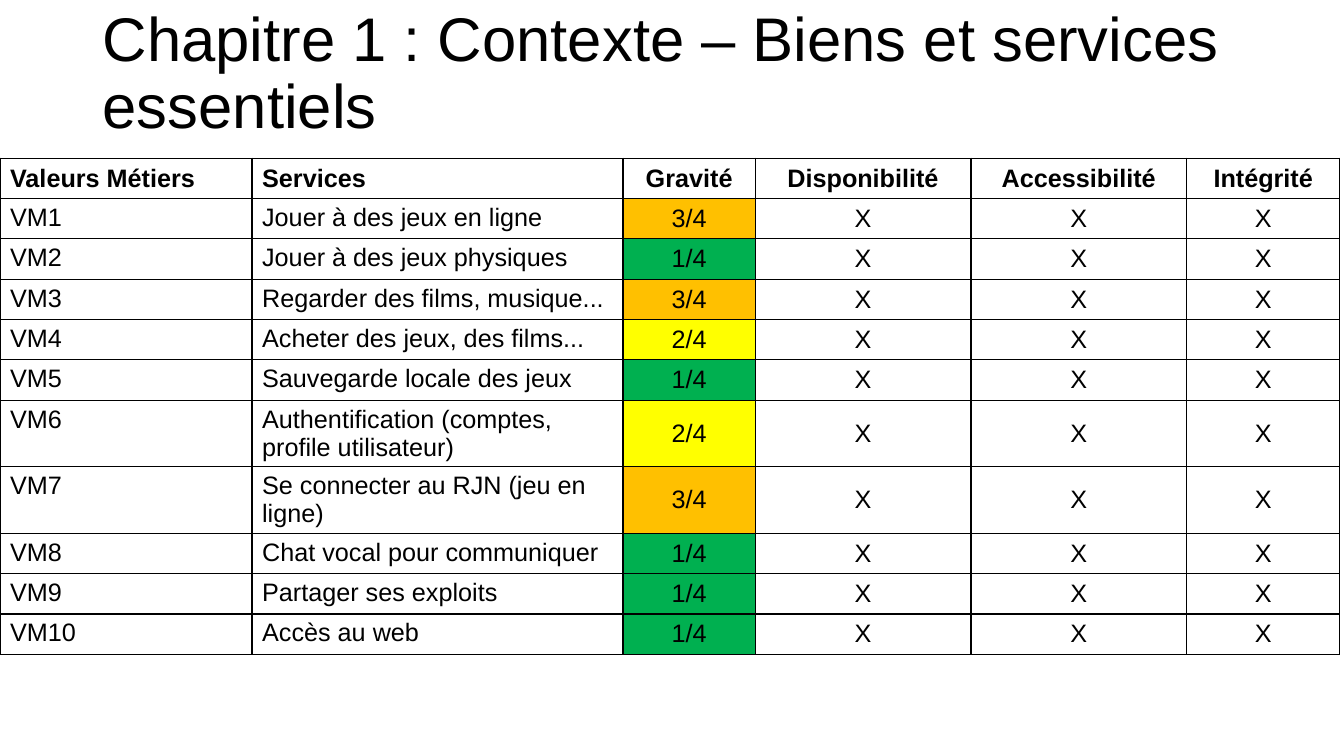
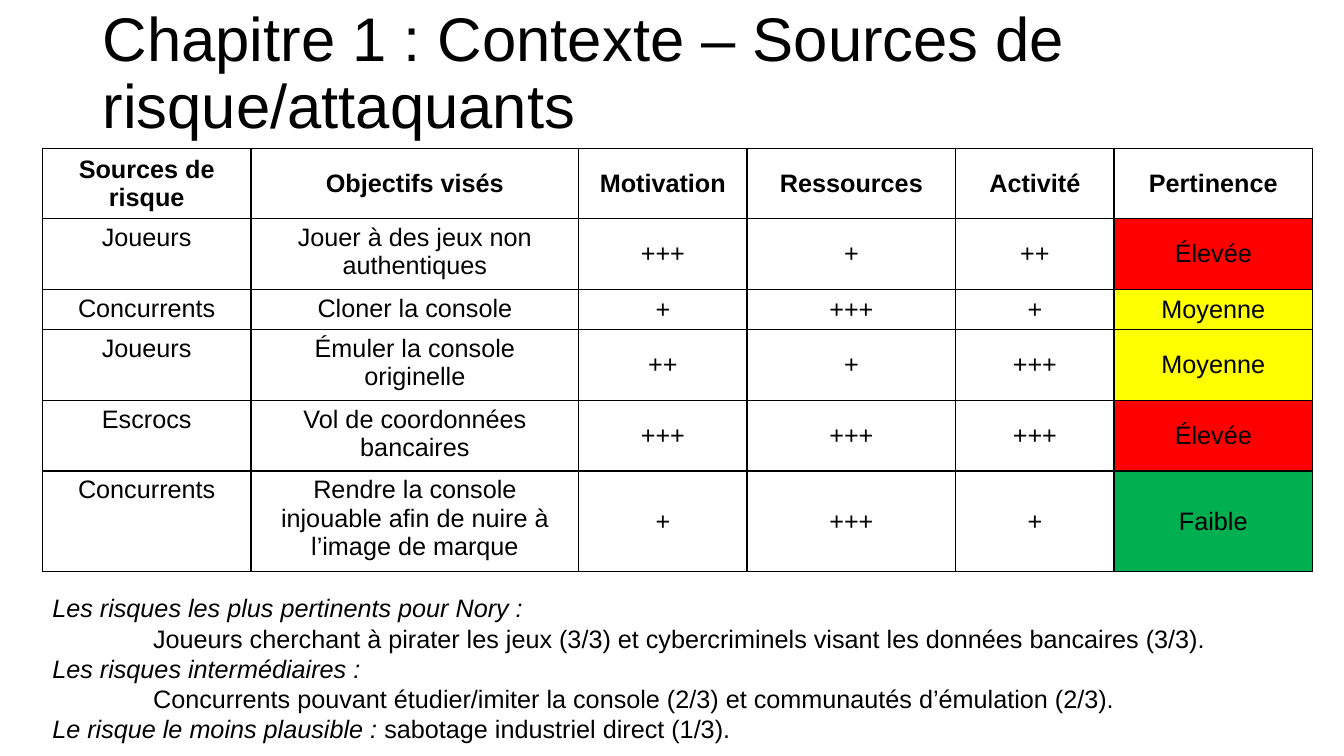
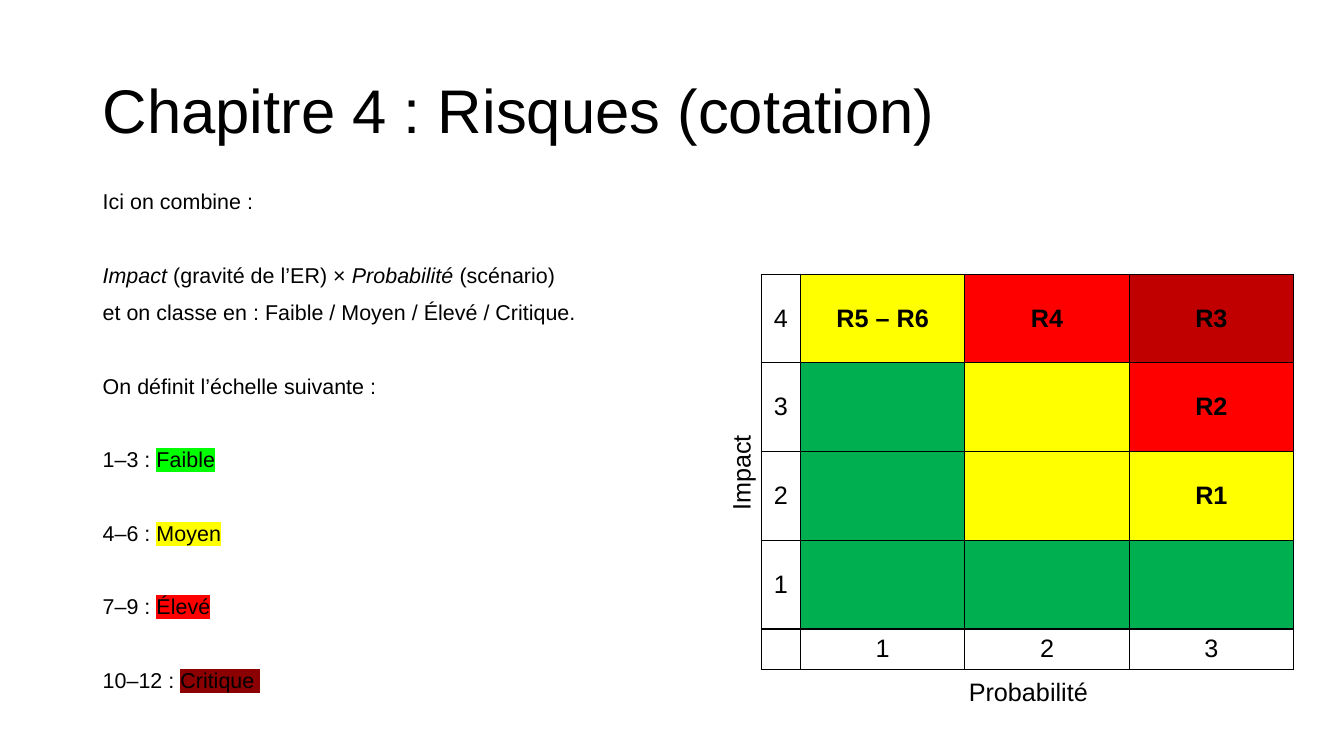
from lxml.etree import SubElement
from pptx import Presentation
from pptx.dml.color import RGBColor
from pptx.enum.text import MSO_ANCHOR as ANCHOR, PP_ALIGN as ALIGN
from pptx.oxml.ns import qn
from pptx.util import Inches, Pt

FONT = "Arial"
BLACK = RGBColor(0x00, 0x00, 0x00)
WHITE = RGBColor(0xFF, 0xFF, 0xFF)
GREEN = RGBColor(0x00, 0xB0, 0x50)
YELLOW = RGBColor(0xFF, 0xFF, 0x00)
ORANGE = RGBColor(0xFF, 0xC0, 0x00)
RED = RGBColor(0xFF, 0x00, 0x00)
DARK_RED = RGBColor(0xC0, 0x00, 0x00)
LIME = RGBColor(0x00, 0xFF, 0x00)
MAROON = RGBColor(0x8B, 0x00, 0x00)

LEVELS = {
    "1/4": GREEN, "2/4": YELLOW, "3/4": ORANGE,
    "Faible": GREEN, "Moyenne": YELLOW, "Élevée": RED,
}

SERVICES = [
    ("Jouer à des jeux en ligne", "3/4"),
    ("Jouer à des jeux physiques", "1/4"),
    ("Regarder des films, musique...", "3/4"),
    ("Acheter des jeux, des films...", "2/4"),
    ("Sauvegarde locale des jeux", "1/4"),
    ("Authentification (comptes, profile utilisateur)", "2/4"),
    ("Se connecter au RJN (jeu en ligne)", "3/4"),
    ("Chat vocal pour communiquer", "1/4"),
    ("Partager ses exploits", "1/4"),
    ("Accès au web", "1/4"),
]

SOURCES = [
    ("Sources de risque", "Objectifs visés", "Motivation", "Ressources", "Activité", "Pertinence"),
    ("Joueurs", "Jouer à des jeux non authentiques", "+++", "+", "++", "Élevée"),
    ("Concurrents", "Cloner la console", "+", "+++", "+", "Moyenne"),
    ("Joueurs", "Émuler la console originelle", "++", "+", "+++", "Moyenne"),
    ("Escrocs", "Vol de coordonnées bancaires", "+++", "+++", "+++", "Élevée"),
    ("Concurrents", "Rendre la console injouable afin de nuire à l’image de marque",
     "+", "+++", "+", "Faible"),
]

MATRIX = [
    ("4", "R5 – R6", "R4", "R3"),
    ("3", "", "", "R2"),
    ("2", "", "", "R1"),
    ("1", "", "", ""),
    ("", "1", "2", "3"),
]
MATRIX_FILLS = [
    (WHITE, YELLOW, RED, DARK_RED),
    (WHITE, GREEN, YELLOW, RED),
    (WHITE, GREEN, YELLOW, YELLOW),
    (WHITE, GREEN, GREEN, GREEN),
    (WHITE, WHITE, WHITE, WHITE),
]

SCALE = [("1–3", "Faible", LIME), ("4–6", "Moyen", YELLOW),
         ("7–9", "Élevé", RED), ("10–12", "Critique ", MAROON)]


def add_run(p, text, size=18, bold=False, italic=False, highlight=None):
    r = p.add_run()
    r.text = text
    r.font.name, r.font.size = FONT, Pt(size)
    r.font.bold, r.font.italic = bold, italic
    r.font.color.rgb = BLACK
    if highlight is not None:
        rPr = r.font._element
        mark = SubElement(rPr, qn("a:highlight"))
        SubElement(mark, qn("a:srgbClr")).set("val", str(highlight))
        rPr.find(qn("a:solidFill")).addnext(mark)


def add_paragraph(tf, runs, size=18, line=None, before=0, indent=0):
    first = len(tf.paragraphs) == 1 and not tf.paragraphs[0].runs
    p = tf.paragraphs[0] if first else tf.add_paragraph()
    p.line_spacing, p.space_before = line, Pt(before)
    if indent:
        p._p.get_or_add_pPr().set("marL", str(Inches(indent)))
    for text, fmt in runs:
        add_run(p, text, size, **fmt)


def add_textbox(s, left, top, width, height, wrap=True, anchor=ANCHOR.TOP):
    box = s.shapes.add_textbox(Inches(left), Inches(top), Inches(width), Inches(height))
    tf = box.text_frame
    tf.word_wrap, tf.vertical_anchor = wrap, anchor
    return box


def add_title(s, text, top=0.02):
    box = add_textbox(s, 0.92, top, 11.5, 1.45, anchor=ANCHOR.MIDDLE)
    add_paragraph(box.text_frame, [(text, {})], size=44, line=0.9)


def add_label(s, text, left, top, width, rotation=0):
    box = add_textbox(s, left, top, width, 0.4, wrap=False)
    box.rotation = rotation
    add_paragraph(box.text_frame, [(text, {})])


def add_borders(cell):
    tcPr = cell._tc.get_or_add_tcPr()
    for side in ("lnL", "lnR", "lnT", "lnB"):
        ln = SubElement(tcPr, qn(f"a:{side}"), w=str(Pt(1)))
        fill = SubElement(ln, qn("a:solidFill"))
        SubElement(fill, qn("a:srgbClr"), val=str(BLACK))


def add_grid(s, left, top, widths, heights, rows, fill_of, bold_of,
             left_columns=0, top_columns=0):
    frame = s.shapes.add_table(len(rows), len(widths), Inches(left), Inches(top),
                               Inches(sum(widths)), Inches(sum(heights)))
    table = frame.table
    table.first_row = table.horz_banding = False
    for column, width in zip(table.columns, widths):
        column.width = Inches(width)
    for i, (values, height) in enumerate(zip(rows, heights)):
        table.rows[i].height = Inches(height)
        for j, text in enumerate(values):
            cell = table.cell(i, j)
            add_borders(cell)
            cell.fill.solid()
            cell.fill.fore_color.rgb = fill_of(i, j)
            at_top = i > 0 and j < top_columns
            cell.vertical_anchor = ANCHOR.TOP if at_top else ANCHOR.MIDDLE
            p = cell.text_frame.paragraphs[0]
            p.alignment = ALIGN.LEFT if j < left_columns else ALIGN.CENTER
            if text:
                add_run(p, text, bold=bold_of(i, j))


def add_rating_table(s, left, top, widths, heights, rows, left_columns=0):
    add_grid(s, left, top, widths, heights, rows,
             fill_of=lambda i, j: LEVELS.get(rows[i][j], WHITE),
             bold_of=lambda i, j: i == 0,
             left_columns=left_columns, top_columns=2)


def build_services(s):
    rows = [("Valeurs Métiers", "Services", "Gravité",
             "Disponibilité", "Accessibilité", "Intégrité")]
    rows += [(f"VM{n}", service, level, "X", "X", "X")
             for n, (service, level) in enumerate(SERVICES, 1)]
    heights = [0.4] * 6 + [0.66] * 2 + [0.4] * 3
    add_rating_table(s, 0, 1.57, [2.5, 3.68, 1.31, 2.14, 2.14, 1.52],
                     heights, rows, left_columns=2)
    add_title(s, "Chapitre 1 : Contexte – Biens et services essentiels")


def build_sources(s):
    add_rating_table(s, 0.42, 1.47, [2.07, 3.25, 1.67, 2.07, 1.57, 1.97],
                     [0.66, 0.66, 0.4, 0.66, 0.66, 0.94], SOURCES)
    add_title(s, "Chapitre 1 : Contexte – Sources de risque/attaquants")
    tf = add_textbox(s, 0.42, 5.83, 12.62, 1.6).text_frame
    italic = {"italic": True}
    findings = [
        ("Les risques les plus pertinents pour Nory :",
         "Joueurs cherchant à pirater les jeux (3/3) et cybercriminels "
         "visant les données bancaires (3/3)."),
        ("Les risques intermédiaires :",
         "Concurrents pouvant étudier/imiter la console (2/3) "
         "et communautés d’émulation (2/3)."),
    ]
    for heading, detail in findings:
        add_paragraph(tf, [(heading, italic)])
        add_paragraph(tf, [(detail, {})], indent=1)
    add_paragraph(tf, [("Le risque le moins plausible :", italic),
                       (" sabotage industriel direct (1/3).", {})])


def build_rating(s):
    add_title(s, "Chapitre 4 : Risques (cotation)", top=0.4)
    tf = add_textbox(s, 0.92, 1.85, 6.94, 4.92).text_frame
    italic = {"italic": True}
    near, far = 10, 36
    lines = [
        (0, [("Ici on combine :", {})]),
        (far, [("Impact", italic), (" (gravité de l’ER) × ", {}),
               ("Probabilité ", italic), ("(scénario)", {})]),
        (near, [("et on classe en : Faible / Moyen / Élevé / Critique.", {})]),
        (far, [("On définit l’échelle suivante :", {})]),
    ]
    lines += [(far, [(f"{scores} : ", {}), (level, {"highlight": color})])
              for scores, level, color in SCALE]
    for before, runs in lines:
        add_paragraph(tf, runs, size=15.3, line=0.9, before=before)
    add_grid(s, 7.55, 2.72, [0.39] + [1.63] * 3, [0.88] * 4 + [0.39], MATRIX,
             fill_of=lambda i, j: MATRIX_FILLS[i][j],
             bold_of=lambda i, j: i < 4 and j > 0)
    add_label(s, "Probabilité", 9.51, 6.66, 1.38)
    add_label(s, "Impact", 6.87, 4.49, 0.95, rotation=270)


def main():
    prs = Presentation()
    prs.slide_width, prs.slide_height = Inches(13.33), Inches(7.5)
    for build in (build_services, build_sources, build_rating):
        build(prs.slides.add_slide(prs.slide_layouts[6]))
    prs.save("out.pptx")


if __name__ == "__main__":
    main()
